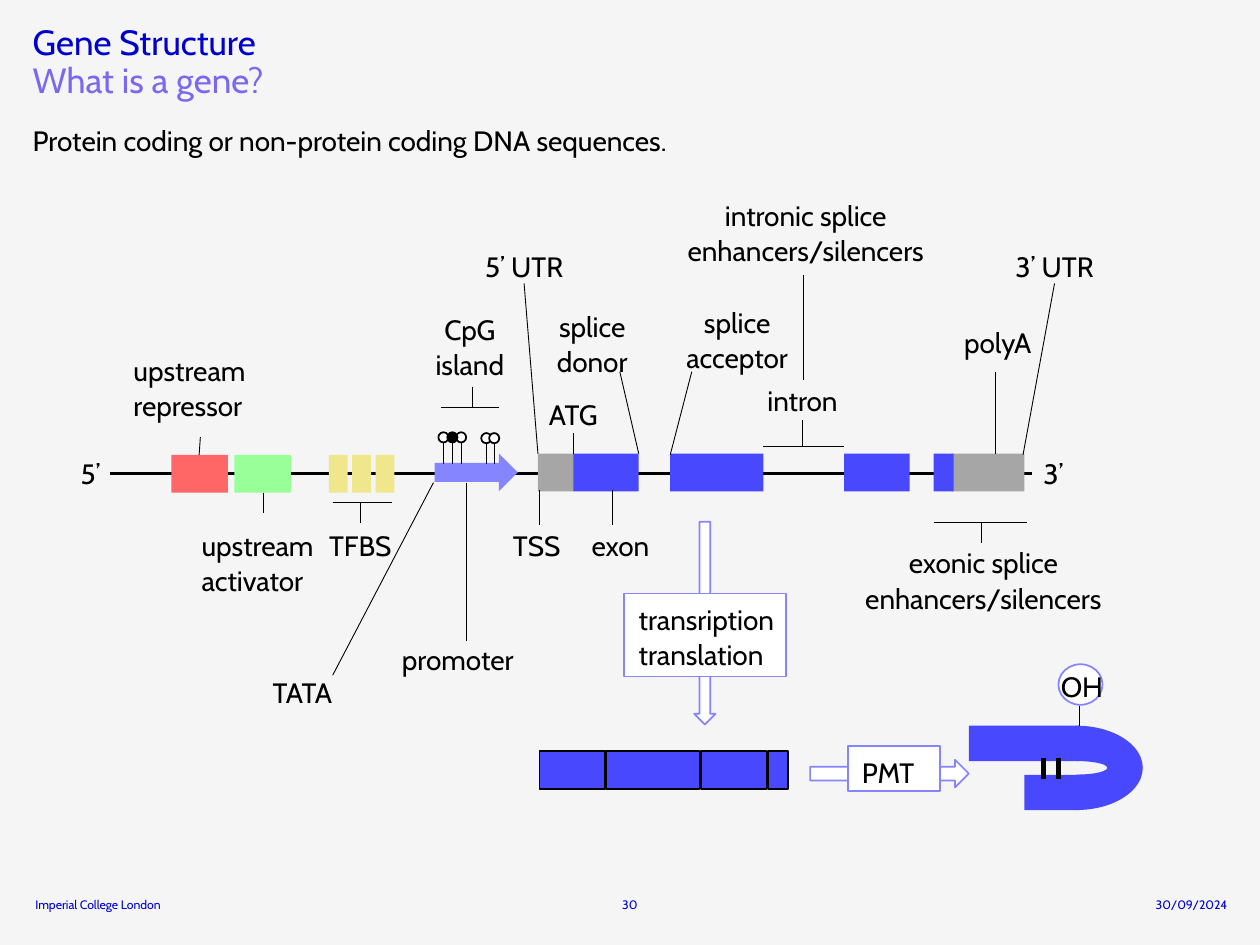
import lxml.etree
import pptx
import pptx.dml.color
import pptx.enum.shapes
import pptx.enum.text
import pptx.oxml.ns
import pptx.util

Pt = pptx.util.Pt
SHAPE = pptx.enum.shapes.MSO_SHAPE
ALIGN = pptx.enum.text.PP_ALIGN
ANCHOR = pptx.enum.text.MSO_ANCHOR
LEFT, CENTER, RIGHT = ALIGN.LEFT, ALIGN.CENTER, ALIGN.RIGHT

BLACK, WHITE, NAVY, PURPLE = "000000", "FFFFFF", "0000CD", "7B68EE"
RED, GREEN, SAND, GREY = "FF6666", "99FF99", "F0E68C", "A6A6A6"
BLUE, LILAC = "4848FF", "8585FF"
BOX_H = 21.6
GENE_Y = 259.2

# text, left, top, width, height, alignment
LABELS = [
    ("5’", 46.1, 259.9, 20.9, 20.9, LEFT),
    ("3’", 596.2, 259.9, 20.9, 20.9, LEFT),
    ("upstream repressor", 76.3, 200.9, 74.9, 49, LEFT),
    ("upstream activator", 115.2, 301, 69.8, 49, LEFT),
    ("TFBS", 180.7, 301, 50.4, 27.4, CENTER),
    ("promoter", 229.7, 366.5, 72.7, 22.3, LEFT),
    ("TATA", 147.6, 385.2, 50.4, 27.4, CENTER),
    ("ATG", 312.5, 226.1, 30.2, 21.6, CENTER),
    ("splice donor", 312.5, 175.7, 51.8, 36, CENTER),
    ("splice acceptor", 387.4, 173.5, 67.7, 36, CENTER),
    ("intron", 433.4, 218.2, 50.4, 27.4, CENTER),
    ("intronic splice enhancers/silencers", 388.1, 112.3, 144.7, 44.6, CENTER),
    ("5’ UTR", 275.8, 141.8, 47.5, 20.2, CENTER),
    ("3’ UTR", 578.9, 141.8, 47.5, 20.2, CENTER),
    ("exonic splice enhancers/silencers", 489.6, 311, 144.7, 44.6, CENTER),
    ("polyA", 545, 185, 50.4, 27.4, CENTER),
    ("TSS", 291.6, 301, 30.2, 21.6, CENTER),
    ("exon", 334.1, 301, 41, 21.6, CENTER),
    ("CpG island", 239, 177.8, 59, 41, CENTER),
]

# x1, y1, x2, y2
LEADERS = [
    (114.5, 249.8, 113.8, 260),      # upstream repressor
    (150.5, 281.5, 150.5, 293),      # upstream activator
    (266.4, 275.8, 266.4, 366.5),    # promoter
    (247.7, 275.8, 190.1, 385.9),    # TATA
    (327.6, 247.7, 327.6, 259.2),    # ATG
    (354.2, 212.4, 365, 259.2),      # splice donor
    (395.3, 212.4, 383, 259.9),      # splice acceptor
    (459.4, 157, 459.4, 217.4),      # intronic splice
    (299.5, 162, 307.4, 259.2),      # 5’ UTR
    (602.6, 162, 584.6, 259.9),      # 3’ UTR
    (568.8, 212.4, 568.8, 259.2),    # polyA
    (308.2, 280.1, 308.2, 300.2),    # TSS
    (349.9, 280.1, 349.9, 300.2),    # exon
    (617, 403.2, 617, 414.7),        # OH
]

# bar start, bar end, bar y, stem x, stem end y
BRACKETS = [
    (190.1, 223.9, 287.3, 205.9, 298.8),  # TFBS
    (436.3, 482.4, 255.2, 458.6, 239.8),  # intron
    (533.5, 586.8, 298.8, 560.9, 310.3),  # exonic splice
    (252, 285.1, 232.8, 269.8, 221),      # CpG island
]


def rgb(color):
    return pptx.dml.color.RGBColor.from_string(color)


def add_text(slide, lines, x, y, w, h, align=LEFT, size=16, color=BLACK,
             spacing=1.05, anchor=ANCHOR.TOP, wrap=True):
    """Add a text box without margins, one paragraph per line."""
    tf = slide.shapes.add_textbox(Pt(x), Pt(y), Pt(w), Pt(h)).text_frame
    tf.margin_left = tf.margin_right = tf.margin_top = tf.margin_bottom = 0
    tf.word_wrap = wrap
    tf.vertical_anchor = anchor
    for i, line in enumerate(lines):
        p = tf.add_paragraph() if i else tf.paragraphs[0]
        p.alignment = align
        p.line_spacing = spacing
        r = p.add_run()
        r.text = line
        r.font.name = "Cabin"
        r.font.size = Pt(size)
        r.font.color.rgb = rgb(color)


def add_shape(slide, kind, x, y, w, h, fill, line=None):
    s = slide.shapes.add_shape(kind, Pt(x), Pt(y), Pt(w), Pt(h))
    s.shadow.inherit = False
    s.fill.solid()
    s.fill.fore_color.rgb = rgb(fill)
    if line:
        s.line.color.rgb = rgb(line)
        s.line.width = Pt(1)
    else:
        s.line.fill.background()
    return s


def add_line(slide, x1, y1, x2, y2, width=0.5):
    c = slide.shapes.add_connector(pptx.enum.shapes.MSO_CONNECTOR.STRAIGHT,
                                   Pt(x1), Pt(y1), Pt(x2), Pt(y2))
    c.line.color.rgb = rgb(BLACK)
    c.line.width = Pt(width)
    lxml.etree.SubElement(c._element.spPr, pptx.oxml.ns.qn("a:effectLst"))


def add_bracket(slide, x1, x2, y, stem_x, stem_y):
    add_line(slide, x1, y, x2, y)
    add_line(slide, stem_x, y, stem_x, stem_y)


def add_headings(slide):
    add_text(slide, ["Gene Structure"], 18.7, 14.4, 682.6, 22.3,
             size=20, color=NAVY, spacing=0.9)
    add_text(slide, ["What is a gene?"], 18.7, 36, 682.6, 29.5,
             size=20, color=PURPLE, spacing=0.9)
    add_text(slide, ["Protein coding or non-protein coding DNA sequences."],
             18.7, 69.8, 682.6, 36)


def add_footer(slide):
    for text, x, w, align in [("Imperial College London", 20.2, 83.5, LEFT),
                              ("30", 350.6, 18.7, CENTER),
                              ("30/09/2024", 539.3, 162, RIGHT)]:
        add_text(slide, [text], x, 510.5, w, 10.8, align, size=7, color=NAVY,
                 spacing=1.0, anchor=ANCHOR.BOTTOM)


def add_gene(slide):
    add_line(slide, 62.6, 270.7, 589.7, 270.7, 1.5)
    regulators = [(97.9, 32.4, RED), (133.9, 32.4, GREEN)]
    regulators += [(187.9 + 13.35 * i, 10.8, SAND) for i in range(3)]
    for x, w, color in regulators:
        add_shape(slide, SHAPE.RECTANGLE, x, 260, w, BOX_H, color)
    add_shape(slide, SHAPE.RIGHT_ARROW, 248.4, GENE_Y, 47.5, BOX_H, LILAC)
    for x, w, color in [(307.4, 20.9, GREY), (543.6, 41.8, GREY),
                        (327.6, 37.4, BLUE), (383, 53.3, BLUE),
                        (482.4, 37.4, BLUE), (533.5, 11.5, BLUE)]:
        add_shape(slide, SHAPE.RECTANGLE, x, GENE_Y, w, BOX_H, color)


def add_methylation(slide):
    """Add the lollipop marks of the CpG island."""
    marks = [(253.4, 247, WHITE), (263.5, 247, WHITE), (277.9, 247.5, WHITE),
             (282.4, 247.5, WHITE), (258.5, 247, BLACK)]
    for x, y, color in marks:
        add_line(slide, x, 253.4, x, 265)
        add_shape(slide, SHAPE.OVAL, x - 2.9, y, 5.8, 5.8, color, BLACK)


def add_expression(slide):
    """Add the steps from the gene to the spliced product."""
    add_shape(slide, SHAPE.DOWN_ARROW, 396.7, 298.1, 12.2, 115.9, WHITE, LILAC)
    add_shape(slide, SHAPE.RECTANGLE, 356.4, 339.1, 92.9, 47.5, WHITE, LILAC)
    add_text(slide, ["transription", "translation"], 365, 343.4, 82, 41)
    x = 308.2
    for w in (37.4, 53.3, 37.4, 11.5):
        add_shape(slide, SHAPE.RECTANGLE, x, 429.1, w, BOX_H, BLUE, BLACK)
        x += w + 0.9
    s = add_shape(slide, SHAPE.DOWN_ARROW, 500.4, 396.7, 15.8, 90.7, WHITE, LILAC)
    s.rotation = 270
    add_shape(slide, SHAPE.RECTANGLE, 484.6, 426.2, 52.6, 25.9, WHITE, LILAC)
    add_text(slide, ["PMT"], 492.5, 430.6, 40, 20)


def add_protein(slide):
    add_shape(slide, SHAPE.RECTANGLE, 585.4, 442.8, 31.7, 20.2, BLUE)
    s = add_shape(slide, SHAPE.BLOCK_ARC, 591.1, 401, 48.2, 75.6, BLUE)
    s.rotation = 90
    for i, value in enumerate((108, 215.999, 0.42)):
        s.adjustments[i] = value
    add_shape(slide, SHAPE.RECTANGLE, 553.7, 414.7, 62.6, 20.2, BLUE)
    for x in (596.2, 604.8):
        add_line(slide, x, 433.4, x, 445, 3)
    add_shape(slide, SHAPE.OVAL, 604.8, 379.6, 25.2, 23.2, WHITE, LILAC)
    add_text(slide, ["OH"], 606.2, 381.6, 25.2, 20.2, wrap=False)


def main():
    prs = pptx.Presentation()
    prs.slide_width, prs.slide_height = Pt(720), Pt(540)
    slide = prs.slides.add_slide(prs.slide_layouts[6])
    slide.background.fill.solid()
    slide.background.fill.fore_color.rgb = rgb("F5F5F5")
    add_headings(slide)
    add_footer(slide)
    add_gene(slide)
    add_methylation(slide)
    add_expression(slide)
    add_protein(slide)
    for leader in LEADERS:
        add_line(slide, *leader)
    for bracket in BRACKETS:
        add_bracket(slide, *bracket)
    for text, *place in LABELS:
        add_text(slide, [text], *place)
    prs.save("out.pptx")


if __name__ == "__main__":
    main()
